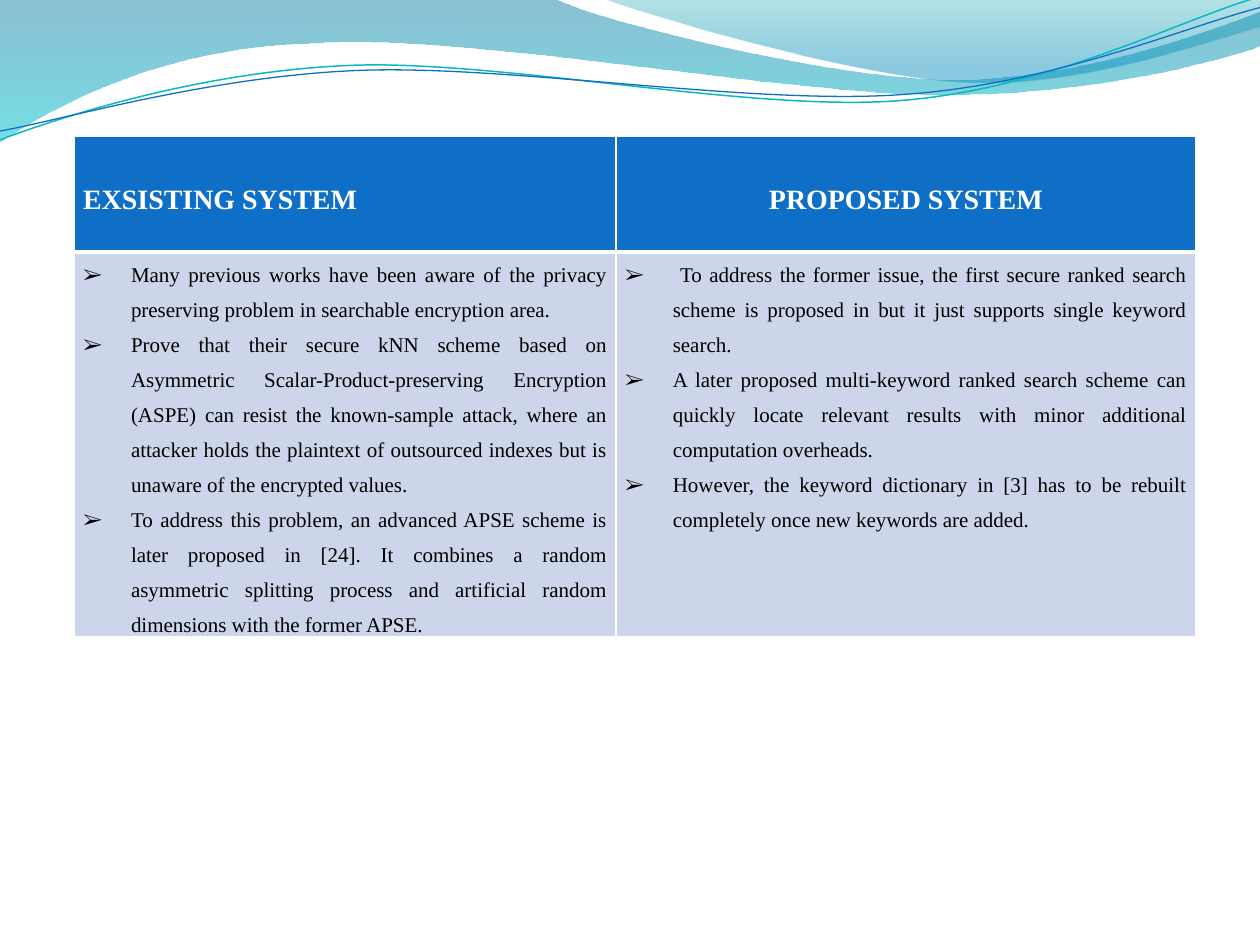
from lxml import etree
from pptx import Presentation
from pptx.dml.color import RGBColor
from pptx.enum.text import PP_ALIGN
from pptx.oxml import parse_xml
from pptx.oxml.ns import nsdecls, qn
from pptx.util import Inches, Pt

LEFT, CENTER, JUSTIFY = PP_ALIGN.LEFT, PP_ALIGN.CENTER, PP_ALIGN.JUSTIFY
FONT = "Times New Roman"
COLORS = {
    "white": "FFFFFF", "black": "000000", "header": "0F6FC6", "body": "CCD5EA",
    "deep": "0074A1", "cyan": "00C6CF", "teal": "00A1A9", "sky": "008BBF",
    "teal_line": "0AB8BF", "blue_line": "0F6FC6",
}

# Each outline is a start point, then lines (x, y) and cubic curves (x1, y1, x2, y2, x, y).
BACK_WAVE = [
    (0, 0), (4.4, -0.01),
    (4.76, 0.17, 6.64, 0.63, 7.58, 0.63), (8.53, 0.63, 9.58, 0.26, 10, 0.09),
    (10.01, 0.36),
    (9.83, 0.44, 8.7, 0.76, 7.46, 0.75), (6.22, 0.75, 3.82, 0.28, 2.57, 0.34),
    (1.29, 0.36, 0.46, 0.83, -0.01, 1.13),
]
FRONT_WAVE = [
    (4.79, -0.01),
    (5.09, 0.11, 6.82, 0.62, 7.69, 0.65), (8.56, 0.69, 9.61, 0.32, 10, 0.21),
    (10, 0),
]
TEAL_CURVE = [
    (0, 1.11),
    (0.48, 0.93, 1.58, 0.57, 2.77, 0.52), (3.95, 0.47, 5.93, 0.89, 7.13, 0.8),
    (8.33, 0.71, 9.38, 0.15, 9.98, -0.02),
]
BLUE_CURVE = [
    (0, 1.04),
    (0.47, 0.96, 1.64, 0.61, 2.83, 0.56), (4.03, 0.51, 5.97, 0.84, 7.17, 0.75),
    (8.36, 0.67, 9.41, 0.21, 10, 0.06),
]

HEADERS = [("EXSISTING SYSTEM", LEFT), ("PROPOSED SYSTEM", CENTER)]
POINTS = [
    [
        "Many previous works have been aware of the privacy preserving problem in "
        "searchable encryption area.",
        "Prove that their secure kNN scheme based on Asymmetric "
        "Scalar-Product-preserving Encryption (ASPE) can resist the known-sample "
        "attack, where an attacker holds the plaintext of outsourced indexes but is "
        "unaware of the encrypted values.",
        "To address this problem, an advanced APSE scheme is later proposed in [24]. "
        "It combines a random asymmetric splitting process and artificial random "
        "dimensions with the former APSE.",
    ],
    [
        " To address the former issue, the first secure ranked search scheme is "
        "proposed in but it just supports single keyword search.",
        "A later proposed multi-keyword ranked search scheme can quickly locate "
        "relevant results with minor additional computation overheads.",
        "However, the keyword dictionary in [3] has to be rebuilt completely once "
        "new keywords are added.",
    ],
]


def rgb(name):
    return RGBColor.from_string(COLORS[name])


class SlideBuilder:
    def __init__(self, slide):
        self.slide = slide

    def outline(self, steps, close):
        """Build a freeform from the end points, then bend its curved segments."""
        ends = [(Inches(step[-2]), Inches(step[-1])) for step in steps]
        builder = self.slide.shapes.build_freeform(*ends[0], scale=1.0)
        builder.add_line_segments(ends[1:], close=close)
        sp = builder.convert_to_shape()
        sp.shadow.inherit = False
        segments = list(sp._element.iter(qn("a:lnTo")))
        for segment, step in zip(segments, steps[1:]):
            if len(step) == 6:
                segment.tag = qn("a:cubicBezTo")
                for i in (2, 0):
                    pt = etree.Element(qn("a:pt"), x=str(Inches(step[i]) - sp.left),
                                       y=str(Inches(step[i + 1]) - sp.top))
                    segment.insert(0, pt)
        return sp

    def wave(self, steps, stops):
        """Filled shape; stops are (position %, colour, opacity %) from top to bottom."""
        sp = self.outline(steps, close=True)
        sp.line.fill.background()
        gs = "".join(
            f'<a:gs pos="{pos * 1000}"><a:srgbClr val="{COLORS[color]}">'
            f'<a:alpha val="{opacity * 1000}"/></a:srgbClr></a:gs>'
            for pos, color, opacity in stops)
        grad = parse_xml(f'<a:gradFill {nsdecls("a")} rotWithShape="1"><a:gsLst>{gs}</a:gsLst>'
                         '<a:lin ang="5400000" scaled="0"/></a:gradFill>')
        sp._element.spPr.find(qn("a:custGeom")).addnext(grad)

    def curve(self, steps, color, width):
        sp = self.outline(steps, close=False)
        sp.fill.background()
        sp.line.color.rgb = rgb(color)
        sp.line.width = Pt(width)

    def table(self, left, top, widths, heights):
        frame = self.slide.shapes.add_table(
            len(heights), len(widths), Inches(left), Inches(top),
            Inches(sum(widths)), Inches(sum(heights)))
        for column, width in zip(frame.table.columns, widths):
            column.width = Inches(width)
        for row, height in zip(frame.table.rows, heights):
            row.height = Inches(height)
        return frame.table

    def cell(self, cell, fill, top=1, bottom=1, margin_top=0):
        """Format a cell; top and bottom are border widths in points."""
        tcPr = cell._tc.get_or_add_tcPr()
        for side, width in (("L", 1), ("R", 1), ("T", top), ("B", bottom)):
            ln = etree.SubElement(tcPr, qn(f"a:ln{side}"), w=str(Pt(width)))
            solid = etree.SubElement(ln, qn("a:solidFill"))
            etree.SubElement(solid, qn("a:srgbClr"), val=COLORS["white"])
        cell.fill.solid()
        cell.fill.fore_color.rgb = rgb(fill)
        cell.margin_left = cell.margin_right = Inches(0.07)
        cell.margin_top, cell.margin_bottom = Inches(margin_top), 0
        return cell.text_frame

    def paragraph(self, p, text, size, color, align, spacing, bold=False, bullet=None):
        p.alignment = align
        p.line_spacing = spacing
        if bullet:
            pPr = p._p.get_or_add_pPr()
            pPr.set("marL", str(Inches(0.38)))
            pPr.set("indent", str(-Inches(0.38)))
            etree.SubElement(pPr, qn("a:buFont"), typeface=FONT)
            etree.SubElement(pPr, qn("a:buChar"), char=bullet)
        r = p.add_run()
        r.text = text
        r.font.name, r.font.size, r.font.bold = FONT, Pt(size), bold
        r.font.color.rgb = rgb(color)


def main():
    prs = Presentation()
    prs.slide_width, prs.slide_height = Inches(10), Inches(7.5)
    s = SlideBuilder(prs.slides.add_slide(prs.slide_layouts[6]))

    s.wave(BACK_WAVE, [(0, "deep", 45), (100, "cyan", 55)])
    s.wave(FRONT_WAVE, [(0, "teal", 30), (80, "sky", 45)])
    s.curve(TEAL_CURVE, "teal_line", 0.85)
    s.curve(BLUE_CURVE, "blue_line", 0.75)

    table = s.table(0.59, 1.08, [4.3, 4.6], [0.92, 3.05])
    for col, (header, align) in enumerate(HEADERS):
        tf = s.cell(table.cell(0, col), "header", bottom=3, margin_top=0.35)
        s.paragraph(tf.paragraphs[0], header, 16, "white", align, 1.15, bold=True)
    for col, points in enumerate(POINTS):
        tf = s.cell(table.cell(1, col), "body", top=3)
        for i, point in enumerate(points):
            p = tf.add_paragraph() if i else tf.paragraphs[0]
            s.paragraph(p, point, 12, "black", JUSTIFY, 1.5, bullet="➢")

    prs.save("out.pptx")


if __name__ == "__main__":
    main()
